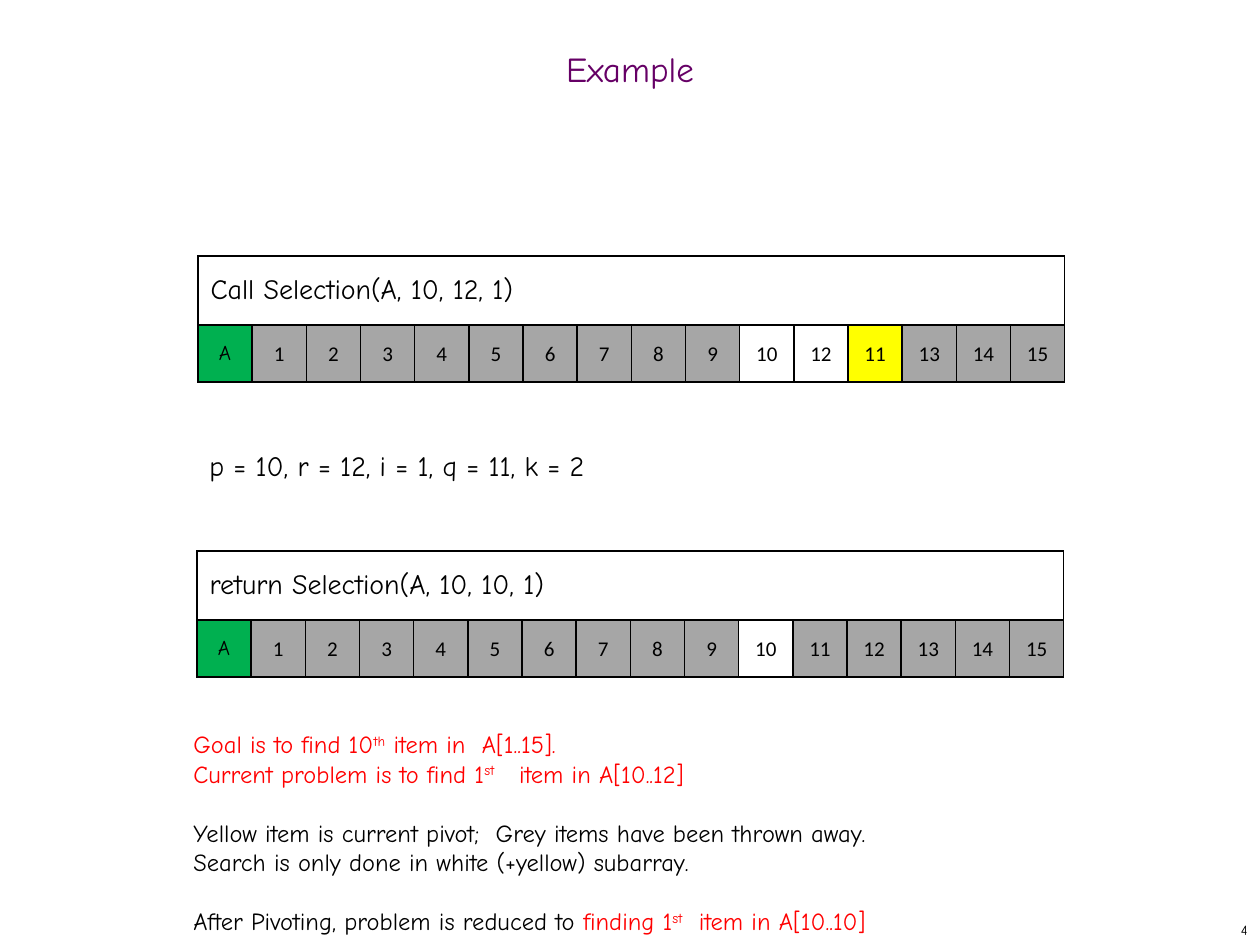
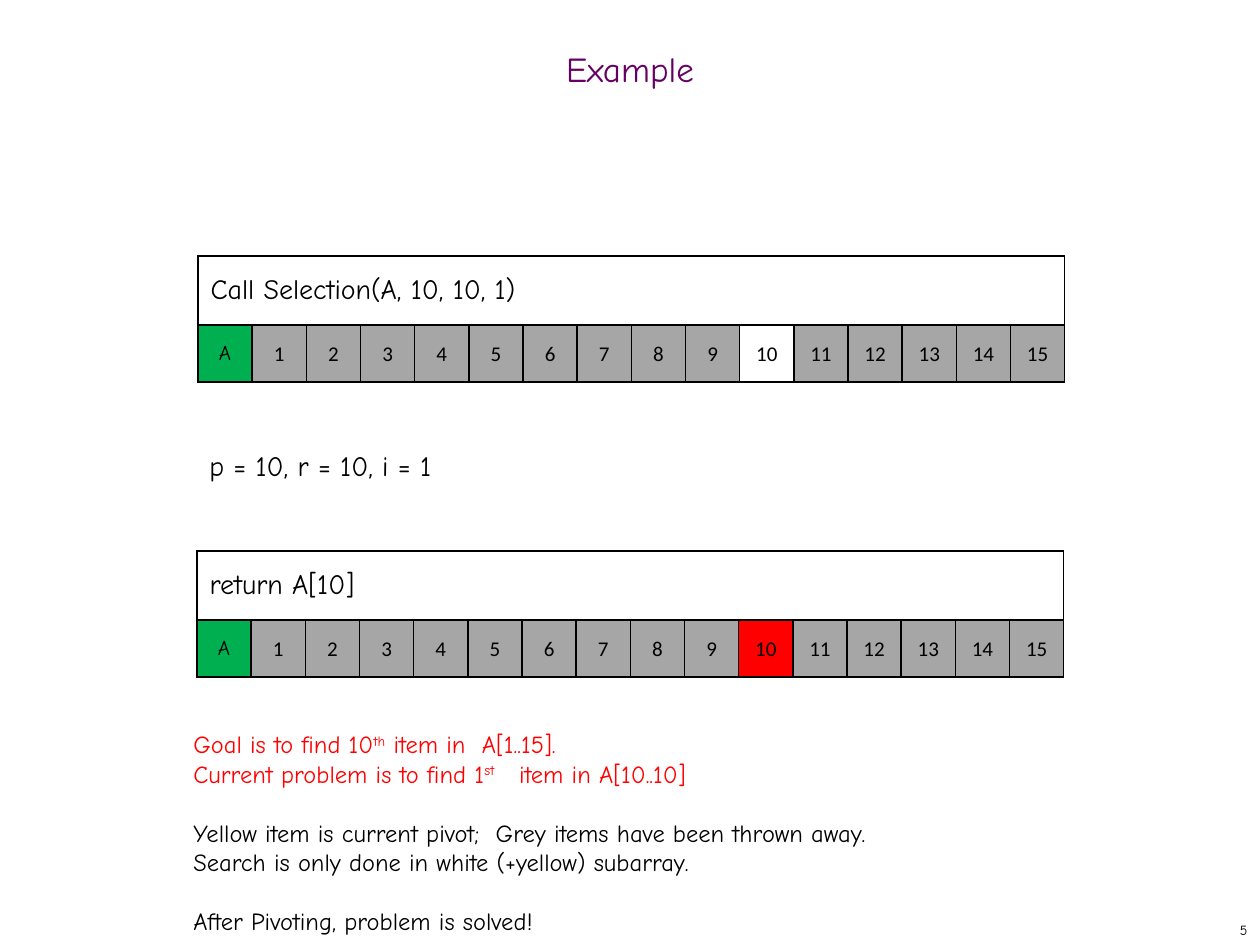
from lxml import etree
from pptx import Presentation
from pptx import util as u
from pptx.dml.color import RGBColor
from pptx.enum import text
from pptx.oxml import ns

PX = 914400 // 126
HAND, SANS = "Comic Neue", "Calibri"
BLACK, PURPLE, RED = "000000", "660066", "FF0000"
GREEN, GREY, YELLOW = "00B050", "A6A6A6", "FFFF00"
CENTER, RIGHT = text.PP_ALIGN.CENTER, text.PP_ALIGN.RIGHT
MIDDLE = text.MSO_ANCHOR.MIDDLE


def write(p, words, size=14, color=BLACK, font=HAND, align=None):
    """Add words to a paragraph; parts between ^ marks are superscript."""
    p.alignment = align
    for i, part in enumerate(words.split("^")):
        r = p.add_run()
        r.text = part
        r.font.name, r.font.size = font, u.Pt(size)
        r.font.color.rgb = RGBColor.from_string(color)
        if i % 2:
            r._r.get_or_add_rPr().set("baseline", "30000")


def add_array(s, x, y, caption, values, fills):
    """Caption row over a row holding A and its 15 items; items are grey unless in fills."""
    table = s.shapes.add_table(2, 16, x * PX, y * PX, 867 * PX, 126 * PX).table
    table.first_row = table.horz_banding = False
    table.rows[0].height, table.rows[1].height = 69 * PX, 57 * PX
    for cell in table.iter_cells():
        tcPr = cell._tc.get_or_add_tcPr()
        for side in ("lnL", "lnR", "lnT", "lnB"):
            ln = etree.SubElement(tcPr, ns.qn("a:" + side), w=str(u.Pt(1)))
            fill = etree.SubElement(ln, ns.qn("a:solidFill"))
            etree.SubElement(fill, ns.qn("a:srgbClr"), val=BLACK)
        cell.fill.background()
        cell.vertical_anchor = MIDDLE

    table.cell(0, 0).merge(table.cell(0, 15))
    write(table.cell(0, 0).text_frame.paragraphs[0], caption, size=16)

    for col, value in enumerate(["A"] + values):
        cell = table.cell(1, col)
        color = GREEN if col == 0 else fills.get(value, GREY)
        if color:
            cell.fill.solid()
            cell.fill.fore_color.rgb = RGBColor.from_string(color)
        if col:
            cell.margin_left = cell.margin_right = cell.margin_top = PX
            cell.margin_bottom = 0
        write(cell.text_frame.paragraphs[0], str(value), size=12,
              font=SANS if col else HAND, align=CENTER)


# What differs between the slides; a fill of None leaves the item white
ordered = list(range(1, 16))
pivoted = ordered[:10] + [12, 11] + ordered[12:]
steps = [
    dict(number="4", call="Call Selection(A, 10, 12, 1)", before=pivoted,
         before_fills={10: None, 12: None, 11: YELLOW},
         state="p = 10, r = 12, i = 1, q = 11, k = 2",
         result="return Selection(A, 10, 10, 1)", after_fills={10: None},
         current="A[10..12]",
         outcome=[("After Pivoting, problem is reduced to ", BLACK),
                  ("finding 1^st^  item in A[10..10]", RED)]),
    dict(number="5", call="Call Selection(A, 10, 10, 1)", before=ordered,
         before_fills={10: None},
         state="p = 10, r = 10, i = 1",
         result="return A[10]", after_fills={10: RED},
         current="A[10..10]",
         outcome=[("After Pivoting, problem is solved!", BLACK)]),
]

prs = Presentation()
prs.slide_width, prs.slide_height = 1260 * PX, 945 * PX

for step in steps:
    s = prs.slides.add_slide(prs.slide_layouts[5])

    # Title
    title = s.shapes.title
    title.left, title.top, title.width, title.height = 0, 42 * PX, 1260 * PX, 63 * PX
    tf = title.text_frame
    tf.vertical_anchor = MIDDLE
    tf.paragraphs[0].line_spacing = 0.7
    write(tf.paragraphs[0], "Example", size=20, color=PURPLE, align=CENTER)

    # Slide number
    tf = s.shapes.add_textbox(998 * PX, 914 * PX, 262 * PX, 31 * PX).text_frame
    tf.word_wrap = True
    tf.vertical_anchor = MIDDLE
    write(tf.paragraphs[0], step["number"], size=8, align=RIGHT)

    # Array before and after the call, with the variables between them
    add_array(s, 198, 256, step["call"], step["before"], step["before_fills"])
    add_array(s, 197, 551, step["result"], ordered, step["after_fills"])
    tf = s.shapes.add_textbox(197 * PX, 442 * PX, 441 * PX, 47 * PX).text_frame
    tf.word_wrap = True
    write(tf.paragraphs[0], step["state"], size=16)

    # Explanation: three groups of lines, each group set off by one line of space
    groups = [
        [[("Goal is to find 10^th^ item in  A[1..15].", RED)],
         [("Current problem is to find 1^st^   item in " + step["current"], RED)]],
        [[("Yellow item is current pivot;  Grey items have been thrown away.", BLACK)],
         [("Search is only done in white (+yellow) subarray.", BLACK)]],
        [step["outcome"]],
    ]
    tf = s.shapes.add_textbox(181 * PX, 723 * PX, 984 * PX, 221 * PX).text_frame
    tf.word_wrap = True
    for g, group in enumerate(groups):
        for i, line in enumerate(group):
            p = tf.add_paragraph() if g or i else tf.paragraphs[0]
            if g and i == 0:
                p.space_before = u.Pt(17)
            for words, color in line:
                write(p, words, color=color)

prs.save("out.pptx")
